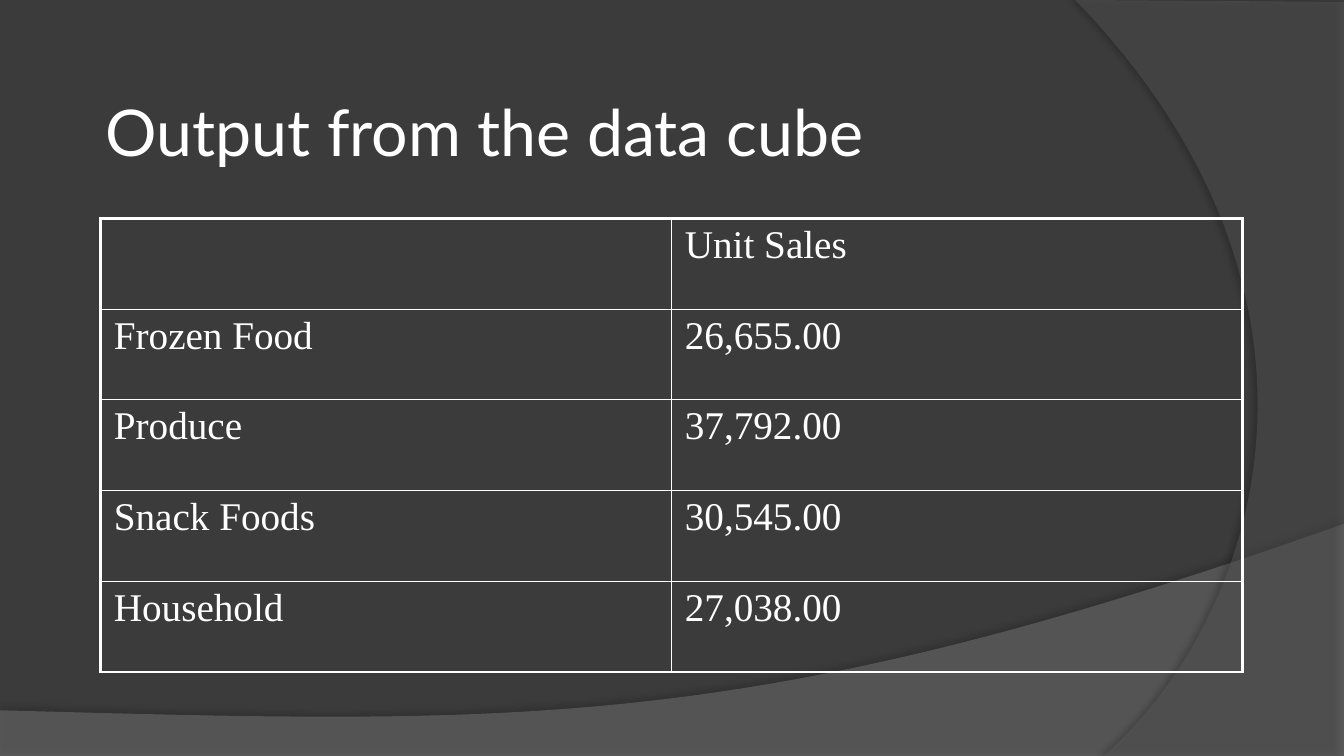
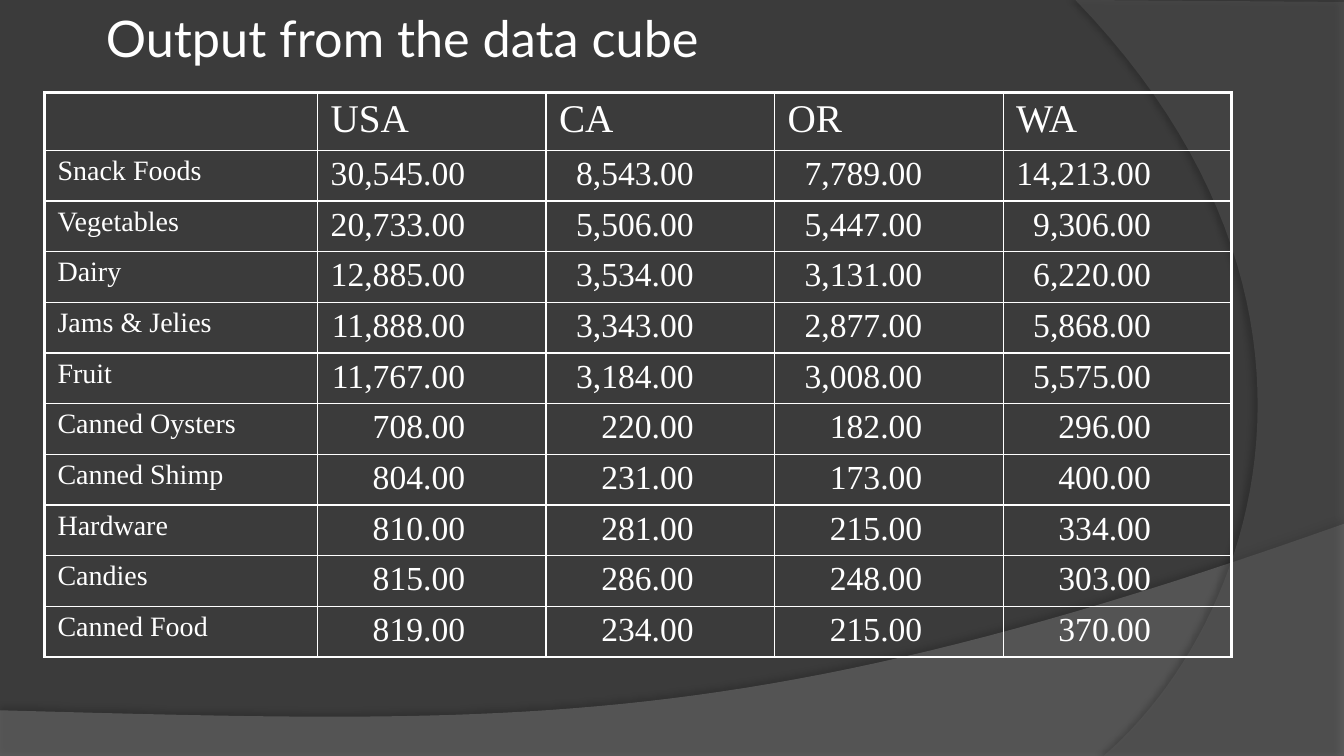
from dataclasses import dataclass

from pptx import Presentation
from pptx.dml.color import RGBColor
from pptx.enum.text import MSO_ANCHOR, PP_ALIGN
from pptx.oxml.ns import qn
from pptx.util import Cm, Pt
from lxml.etree import SubElement


@dataclass(frozen=True)
class Theme:
    background: str = "3B3B3B"
    ink: str = "FFFFFF"
    sweep: str = "7F7F7F"
    arc: str = "5E5E5E"
    shadow: str = "000000"
    title_font: str = "Lato"
    table_font: str = "Times New Roman"
    title_size: float = 46
    compact_title_size: float = 36
    heading_size: float = 28
    figure_size: float = 24
    product_size: float = 20
    outer_rule: float = 2.25
    inner_rule: float = 1


@dataclass(frozen=True)
class Box:
    left: float
    top: float
    width: float
    height: float

    def emu(self):
        return Cm(self.left), Cm(self.top), Cm(self.width), Cm(self.height)


THEME = Theme()
PAGE = Box(0, 0, 33.87, 19.05)
TITLE = "Output from the data cube"

UNIT_SALES = [
    ("", "Unit Sales"),
    ("Frozen Food", "26,655.00"),
    ("Produce", "37,792.00"),
    ("Snack Foods", "30,545.00"),
    ("Household", "27,038.00"),
]

STATE_SALES = [
    ("", "USA", "CA", "OR", "WA"),
    ("Snack Foods", "30,545.00", "8,543.00", "7,789.00", "14,213.00"),
    ("Vegetables", "20,733.00", "5,506.00", "5,447.00", "9,306.00"),
    ("Dairy", "12,885.00", "3,534.00", "3,131.00", "6,220.00"),
    ("Jams & Jelies", "11,888.00", "3,343.00", "2,877.00", "5,868.00"),
    ("Fruit", "11,767.00", "3,184.00", "3,008.00", "5,575.00"),
    ("Canned Oysters", "708.00", "220.00", "182.00", "296.00"),
    ("Canned Shimp", "804.00", "231.00", "173.00", "400.00"),
    ("Hardware", "810.00", "281.00", "215.00", "334.00"),
    ("Candies", "815.00", "286.00", "248.00", "303.00"),
    ("Canned Food", "819.00", "234.00", "215.00", "370.00"),
]


def write_text(frame, text, *, size, font, color=THEME.ink, align=PP_ALIGN.LEFT):
    paragraph = frame.paragraphs[0]
    paragraph.alignment = align
    run = paragraph.add_run()
    run.text = text
    run.font.size = Pt(size)
    run.font.name = font
    run.font.color.rgb = RGBColor.from_string(color)


def bezier(start, control_a, control_b, end, steps=48):
    for step in range(1, steps + 1):
        t = step / steps
        weights = ((1 - t) ** 3, 3 * t * (1 - t) ** 2, 3 * t * t * (1 - t), t ** 3)
        corners = (start, control_a, control_b, end)
        yield tuple(sum(w * c[axis] for w, c in zip(weights, corners)) for axis in (0, 1))


def add_band(slide, box, edges, curve, *, color, opacity, shadow_opacity, distance, angle):
    outline = [*edges, *bezier(edges[-1], *curve)]
    points = [(Cm(box.left + x), Cm(box.top + y)) for x, y in outline]
    builder = slide.shapes.build_freeform(*points[0])
    builder.add_line_segments(points[1:], close=True)
    band = builder.convert_to_shape()
    band.fill.solid()
    band.fill.fore_color.rgb = RGBColor.from_string(color)
    band.line.fill.background()
    band.shadow.inherit = False
    properties = band._element.spPr
    tint = properties.find(qn("a:solidFill")).find(qn("a:srgbClr"))
    SubElement(tint, qn("a:alpha"), val=str(opacity * 1000))
    cast = SubElement(
        properties.find(qn("a:effectLst")), qn("a:outerShdw"),
        blurRad=str(Pt(4)), dist=str(Pt(distance)), dir=str(angle * 60000),
        algn="ctr", rotWithShape="0",
    )
    shade = SubElement(cast, qn("a:srgbClr"), val=THEME.shadow)
    SubElement(shade, qn("a:alpha"), val=str(shadow_opacity * 1000))


def add_backdrop(slide, page):
    sweep = Box(page.left, page.top + 13.2, page.width, page.height - 13.2)
    add_band(
        slide, sweep,
        [(0, 4.7), (0, sweep.height), (sweep.width, sweep.height), (sweep.width, 0)],
        [(18.92, 5.31), (13.23, 5.05), (0, 4.7)],
        color=THEME.sweep, opacity=45, shadow_opacity=35, distance=3.5, angle=270,
    )
    arc = Box(page.left + 27.1, page.top, page.width - 27.1, page.height)
    add_band(
        slide, arc,
        [(arc.width, 0.05), (arc.width, arc.height), (0.71, arc.height)],
        [(4.55, 15.72), (7.37, 7.62), (0, 0)],
        color=THEME.arc, opacity=40, shadow_opacity=45, distance=4, angle=180,
    )


def add_title(slide, box, size):
    frame = slide.shapes.add_textbox(*box.emu()).text_frame
    frame.word_wrap = True
    frame.vertical_anchor = MSO_ANCHOR.MIDDLE
    frame.margin_left = frame.margin_right = Cm(0.13)
    frame.margin_top = frame.margin_bottom = Cm(0.13)
    write_text(frame, TITLE, size=size, font=THEME.title_font)


def rule_cell(cell, outer_sides):
    properties = cell._tc.get_or_add_tcPr()
    for side in "LRTB":
        weight = THEME.outer_rule if side in outer_sides else THEME.inner_rule
        line = SubElement(properties, qn(f"a:ln{side}"), w=str(Pt(weight)))
        fill = SubElement(line, qn("a:solidFill"))
        SubElement(fill, qn("a:srgbClr"), val=THEME.ink)
    cell.fill.background()


def add_sales_table(slide, box, rows, *, label_width, header_height,
                    label_size, figure_size, figure_inset=None):
    row_count, column_count = len(rows), len(rows[0])
    table = slide.shapes.add_table(row_count, column_count, *box.emu()).table
    table.first_row = table.horz_banding = False
    figure_width = (box.width - label_width) / (column_count - 1)
    body_height = (box.height - header_height) / (row_count - 1)
    for index, column in enumerate(table.columns):
        column.width = Cm(figure_width if index else label_width)
    for index, row in enumerate(table.rows):
        row.height = Cm(body_height if index else header_height)

    for r, values in enumerate(rows):
        for c, value in enumerate(values):
            cell = table.cell(r, c)
            at_edge = {"L": c == 0, "R": c == column_count - 1,
                       "T": r == 0, "B": r == row_count - 1}
            rule_cell(cell, [side for side, outer in at_edge.items() if outer])
            cell.margin_left = cell.margin_right = Cm(0.33)
            cell.margin_top = cell.margin_bottom = Cm(0.13)
            align = PP_ALIGN.LEFT
            if r and c and figure_inset:
                cell.margin_right = Cm(figure_inset)
                align = PP_ALIGN.RIGHT
            size = THEME.heading_size if r == 0 else figure_size if c else label_size
            if value:
                write_text(cell.text_frame, value, size=size,
                           font=THEME.table_font, align=align)


def add_slide(deck):
    slide = deck.slides.add_slide(deck.slide_layouts[6])
    add_backdrop(slide, PAGE)
    return slide


def build_unit_sales(deck):
    slide = add_slide(deck)
    add_title(slide, Box(2.54, 1.7, 28.78, 3.18), THEME.title_size)
    add_sales_table(
        slide, Box(2.54, 5.5, 28.78, 11.43), UNIT_SALES,
        label_width=14.39, header_height=2.29,
        label_size=THEME.heading_size, figure_size=THEME.heading_size,
    )


def build_state_sales(deck):
    slide = add_slide(deck)
    add_title(slide, Box(2.54, 0, 28.78, 1.9), THEME.compact_title_size)
    add_sales_table(
        slide, Box(1.12, 2.34, 29.92, 14.14), STATE_SALES,
        label_width=6.88, header_height=1.44,
        label_size=THEME.product_size, figure_size=THEME.figure_size,
        figure_inset=2.04,
    )


def main():
    deck = Presentation()
    deck.slide_width, deck.slide_height = Cm(PAGE.width), Cm(PAGE.height)
    backdrop = deck.slide_master.background.fill
    backdrop.solid()
    backdrop.fore_color.rgb = RGBColor.from_string(THEME.background)
    build_unit_sales(deck)
    build_state_sales(deck)
    deck.save("out.pptx")


if __name__ == "__main__":
    main()
